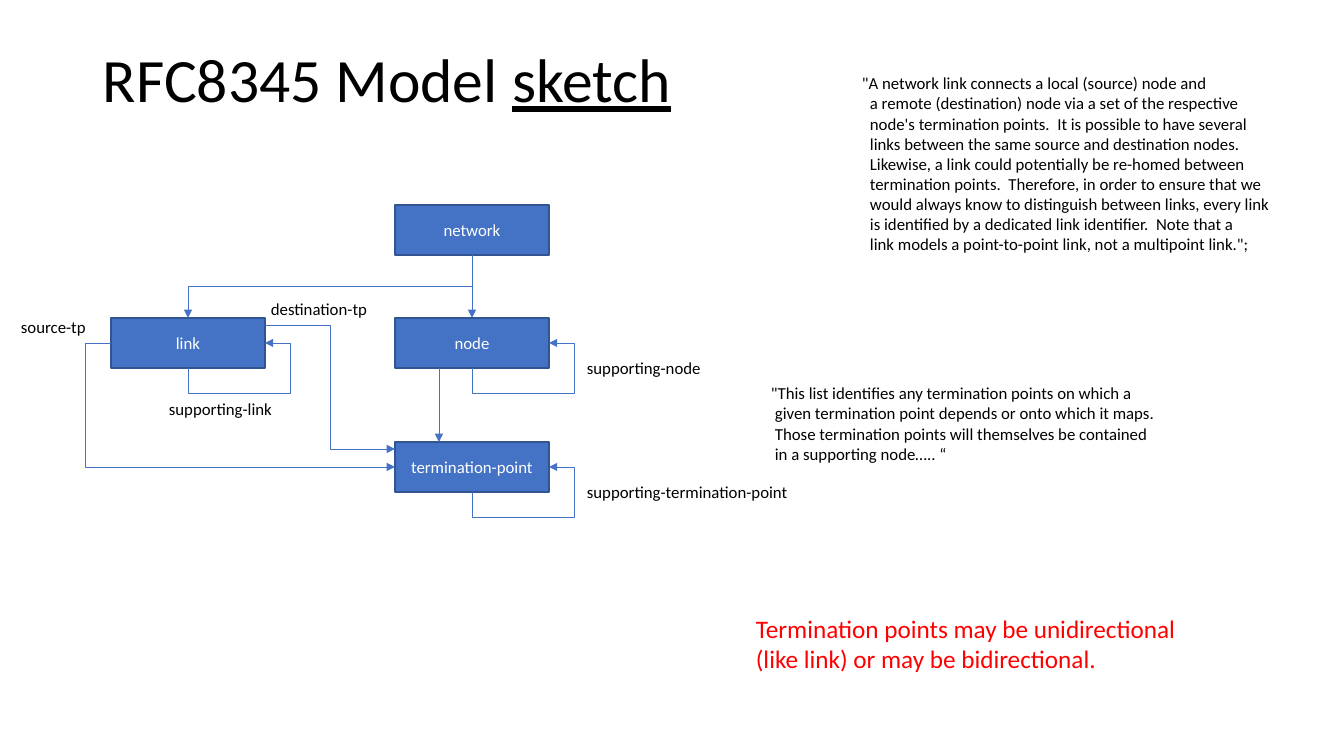
from lxml.etree import SubElement
from pptx import Presentation
from pptx.dml.color import RGBColor
from pptx.enum.shapes import MSO_CONNECTOR, MSO_SHAPE
from pptx.enum.text import MSO_ANCHOR, PP_ALIGN
from pptx.oxml.ns import qn
from pptx.util import Pt

PX = 9071  # EMU in one px, 100.8 px to the inch
BLUE, EDGE, BLACK, WHITE, RED = "4472C4", "325491", "000000", "FFFFFF", "FF0000"
BOX_WIDTH, BOX_HEIGHT = 154, 50
BOTTOM, RIGHT, TOP, LEFT = 2, 3, 0, 1

presentation = Presentation()
presentation.slide_width = 1344 * PX
presentation.slide_height = 756 * PX
slide = presentation.slides.add_slide(presentation.slide_layouts[6])
shapes = slide.shapes


def write(shape, lines, size=12, color=BLACK, indents=None):
    """Fill a shape with one paragraph a line, each indented by its px."""
    frame = shape.text_frame
    frame.word_wrap = True
    for index, line in enumerate(lines):
        paragraph = frame.paragraphs[0] if index == 0 else frame.add_paragraph()
        if indents:
            paragraph._p.get_or_add_pPr().set("marL", str(indents[index] * PX))
        run = paragraph.add_run()
        run.text = line
        run.font.name = "Calibri"
        run.font.size = Pt(size)
        run.font.color.rgb = RGBColor.from_string(color)
    return frame


def add_arrow(start, end, kind=MSO_CONNECTOR.ELBOW, joins=(), preset=None,
              upright=False, flipped=False, bends=()):
    """Draw an arrow; an upright one leaves its start vertically."""
    (x1, y1), (x2, y2) = start, end
    connector = shapes.add_connector(kind, x1 * PX, y1 * PX, x2 * PX, y2 * PX)
    if joins:
        source, source_side, target, target_side = joins
        connector.begin_connect(source, source_side)
        connector.end_connect(target, target_side)
    properties = connector._element.spPr
    if upright:
        width, height = abs(y2 - y1) * PX, abs(x2 - x1) * PX
        connector.left = ((x1 + x2) * PX - width) // 2
        connector.top = ((y1 + y2) * PX - height) // 2
        connector.width, connector.height = width, height
        frame = properties.find(qn("a:xfrm"))
        frame.set("rot", "5400000")
        for flip in ("flipH", "flipV"):
            frame.set(flip, str(int(flipped)))
    geometry = properties.find(qn("a:prstGeom"))
    if preset:
        geometry.set("prst", preset)
    guides = geometry.find(qn("a:avLst"))
    if guides is None:
        guides = SubElement(geometry, qn("a:avLst"))
    for number, bend in enumerate(bends, 1):
        SubElement(guides, qn("a:gd"), name=f"adj{number}", fmla=f"val {bend}")
    connector.line.color.rgb = RGBColor.from_string(BLUE)
    connector.line.width = Pt(0.5)
    SubElement(properties.find(qn("a:ln")), qn("a:tailEnd"), type="triangle")
    SubElement(properties, qn("a:effectLst"))


# Title
title = shapes.add_textbox(93 * PX, 40 * PX, 1159 * PX, 85 * PX)
title_frame = write(title, ["RFC8345 Model "], 44)
title_frame.vertical_anchor = MSO_ANCHOR.MIDDLE
title_paragraph = title_frame.paragraphs[0]
title_paragraph.line_spacing = 0.9
sketch = title_paragraph.add_run()
sketch.text = "sketch"
sketch.font.name = "Calibri"
sketch.font.size = Pt(44)
sketch.font.underline = True
sketch.font.color.rgb = RGBColor.from_string(BLACK)

# Model boxes
boxes = {}
for name, left, top in [("network", 395, 205), ("node", 395, 318),
                        ("termination-point", 395, 442), ("link", 111, 318)]:
    box = shapes.add_shape(MSO_SHAPE.RECTANGLE, left * PX, top * PX,
                           BOX_WIDTH * PX, BOX_HEIGHT * PX)
    box.shadow.inherit = False
    box.fill.solid()
    box.fill.fore_color.rgb = RGBColor.from_string(BLUE)
    box.line.color.rgb = RGBColor.from_string(EDGE)
    box.line.width = Pt(1)
    box_frame = write(box, [name], color=WHITE)
    box_frame.vertical_anchor = MSO_ANCHOR.MIDDLE
    box_frame.paragraphs[0].alignment = PP_ALIGN.CENTER
    boxes[name] = box

# Each supporting reference loops from a box's bottom to its right side
for name, left, top in [("node", 395, 318), ("termination-point", 395, 442),
                        ("link", 111, 318)]:
    add_arrow((left + BOX_WIDTH // 2, top + BOX_HEIGHT),
              (left + BOX_WIDTH, top + BOX_HEIGHT // 2),
              joins=(boxes[name], BOTTOM, boxes[name], RIGHT),
              preset="bentConnector4", upright=True, flipped=True,
              bends=(-100000, 132900))

# Containment
add_arrow((472, 255), (472, 318), MSO_CONNECTOR.STRAIGHT,
          (boxes["network"], BOTTOM, boxes["node"], TOP))
add_arrow((439, 368), (439, 442), MSO_CONNECTOR.STRAIGHT)
add_arrow((472, 255), (188, 318), upright=True,
          joins=(boxes["network"], BOTTOM, boxes["link"], TOP))

# Source and destination of a link
add_arrow((111, 343), (395, 467), bends=(-8900,),
          joins=(boxes["link"], LEFT, boxes["termination-point"], LEFT))
add_arrow((265, 325), (395, 449))

# Labels
for label, left, top, width in [
    ("source-tp", 11, 312, 92),
    ("destination-tp", 261, 294, 125),
    ("supporting-link", 159, 394, 312),
    ("supporting-node", 577, 353, 312),
    ("supporting-termination-point", 577, 477, 312),
]:
    write(shapes.add_textbox(left * PX, top * PX, width * PX, 30 * PX), [label])

# Quotations
link_quote = [
    "\"A network link connects a local (source) node and",
    "a remote (destination) node via a set of the respective",
    "node's termination points.  It is possible to have several",
    "links between the same source and destination nodes.",
    "Likewise, a link could potentially be re-homed between",
    "termination points.  Therefore, in order to ensure that we",
    "would always know to distinguish between links, every link",
    "is identified by a dedicated link identifier.  Note that a",
    "link models a point-to-point link, not a multipoint link.\";",
]
point_quote = [
    "\"This list identifies any termination points on which a",
    "given termination point depends or onto which it maps.",
    "Those termination points will themselves be contained",
    "in a supporting node….. “",
]
for quote, left, top, height, first, rest in [
    (link_quote, 814, 68, 194, 38, 46),
    (point_quote, 712, 378, 92, 49, 53),
]:
    write(shapes.add_textbox(left * PX, top * PX, 475 * PX, height * PX),
          quote, indents=[first] + [rest] * (len(quote) - 1))

# Remark
remark = shapes.add_textbox(746 * PX, 608 * PX, 451 * PX, 71 * PX)
write(remark, ["Termination points may be unidirectional",
               "(like link) or may be bidirectional."], 18, RED).word_wrap = False

presentation.save("out.pptx")
